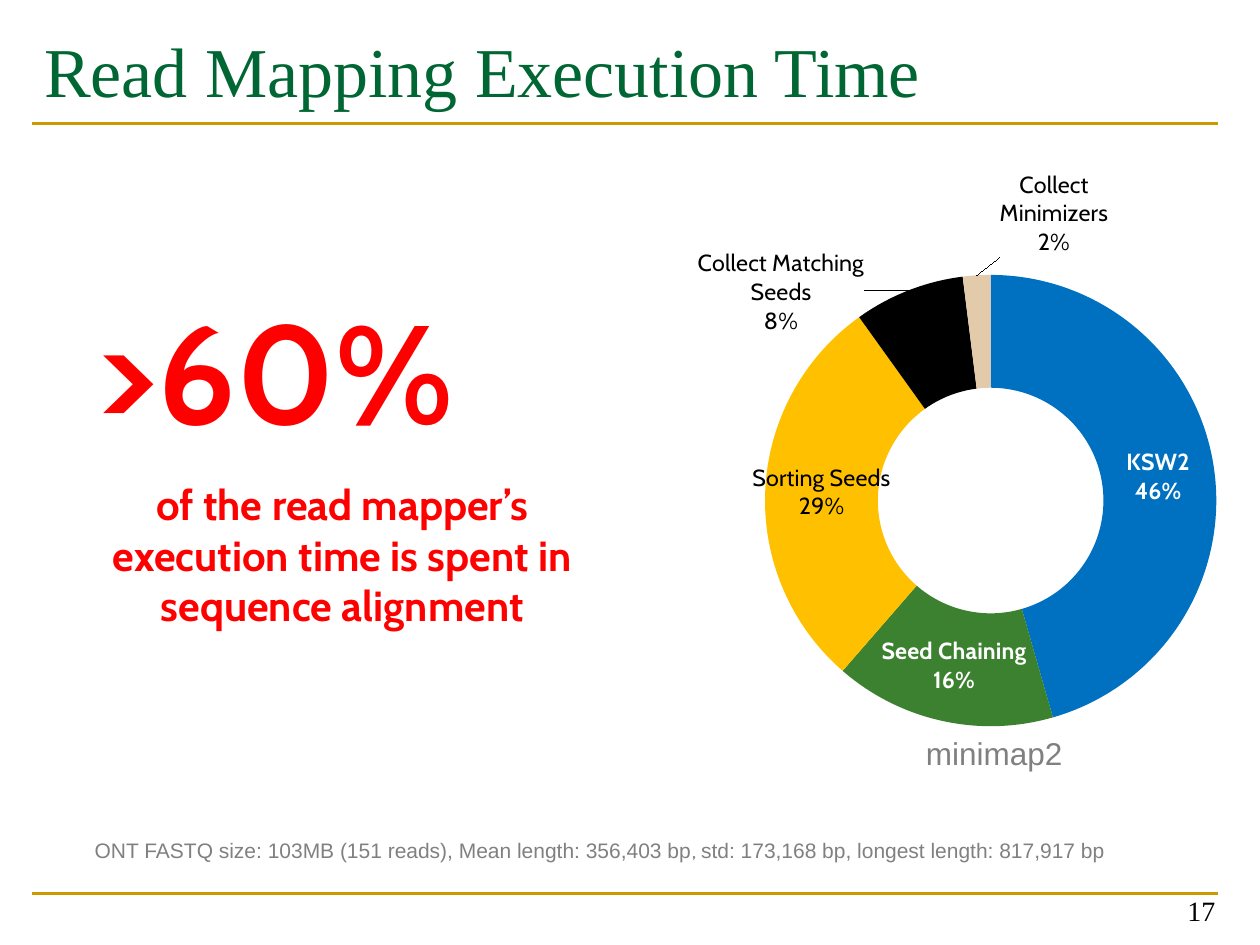
from lxml.etree import SubElement
from pptx import Presentation
from pptx.chart.data import CategoryChartData
from pptx.dml.color import RGBColor
from pptx.enum.chart import XL_CHART_TYPE
from pptx.enum.text import MSO_ANCHOR, PP_ALIGN
from pptx.oxml import parse_xml
from pptx.oxml.ns import nsdecls, qn
from pptx.util import Pt

HEX = {"gold": "CC9900", "green": "006633", "gray": "808080", "red": "FF0000",
       "black": "000000", "white": "FFFFFF", "blue": "0070C0",
       "leaf": "3B812F", "amber": "FFC000", "sand": "E2CAAA"}
SERIF, SANS, CABIN = "Times New Roman", "Arial", "Cabin"

# Content
TITLE = "Read Mapping Execution Time"
# name, share, fill, label colour, label shift as part of the chart
STEPS = [
    ("KSW2", 46, "blue", "white", None),
    ("Seed Chaining", 16, "leaf", "white", None),
    ("Sorting Seeds", 29, "amber", "black", None),
    ("Collect Matching Seeds", 8, "black", "black", (-0.22, -0.09)),
    ("Collect Minimizers", 2, "sand", "black", (0.11, -0.21)),
]
# box, size, colour, bold, align, anchor, wrap, runs
LEFT, MID, RIGHT = PP_ALIGN.LEFT, PP_ALIGN.CENTER, PP_ALIGN.RIGHT
TOP, BASE = MSO_ANCHOR.TOP, MSO_ANCHOR.BOTTOM
NOTES = [
    ((47.5, 159, 330, 126), 80, "red", True, LEFT, TOP, True,
     [(">60%", CABIN)]),
    ((37.5, 270, 316, 94), 24, "red", True, MID, TOP, True,
     [("of the read mapper’s execution time is spent in sequence alignment",
       CABIN)]),
    ((522, 416, 94, 29), 18, "gray", False, LEFT, TOP, False,
     [("minimap2", SANS)]),
    ((47, 475, 621, 22), 12, "gray", False, LEFT, TOP, True,
     [("ONT FASTQ size: 103MB (151 reads), Mean length: 356,403 bp", SANS),
      (", ", CABIN),
      ("std: 173,168 bp, longest length: 817,917 bp", SANS)]),
    ((533.5, 497.5, 168, 36), 16, "black", False, RIGHT, BASE, True,
     [("17", SERIF)]),
]
RULES = (70.5, 510.5)
CHART = (377, 96, 384, 320)
PLOT = {"x": 0.156, "y": 0.191, "w": 0.673, "h": 0.806}


def rgb(name):
    return RGBColor.from_string(HEX[name])


def style(font, face, size, color, bold=False):
    font.name, font.size, font.bold = face, Pt(size), bold
    font.color.rgb = rgb(color)


def place(shape, box):
    shape.left, shape.top, shape.width, shape.height = map(Pt, box)


def write(shape, size, color, bold, align, anchor, wrap, runs):
    frame = shape.text_frame
    frame.word_wrap, frame.vertical_anchor = wrap, anchor
    para = frame.paragraphs[0]
    para.alignment = align
    for text, face in runs:
        run = para.add_run()
        run.text = text
        style(run.font, face, size, color, bold)


def layout(items, inner=False):
    """Make a manual layout for the plot or for a label."""
    if inner:
        items = {"layoutTarget": "inner", "xMode": "edge", "yMode": "edge",
                 **items}
    body = "".join(f'<c:{key} val="{val}"/>' for key, val in items.items())
    return parse_xml(f'<c:layout {nsdecls("c")}><c:manualLayout>{body}'
                     '</c:manualLayout></c:layout>')


def show(node):
    """Show category and percent on two lines."""
    for key, val in (("showVal", 0), ("showCatName", 1), ("showPercent", 1)):
        node.find(qn(f"c:{key}")).set("val", str(val))
    mark = parse_xml(f'<c:separator {nsdecls("c")}>\n</c:separator>')
    node.find(qn("c:showBubbleSize")).addnext(mark)


def draw_chart(slide):
    data = CategoryChartData()
    data.categories = [step[0] for step in STEPS]
    data.add_series("Series 1", [step[1] for step in STEPS])
    chart = slide.shapes.add_chart(
        XL_CHART_TYPE.DOUGHNUT, *map(Pt, CHART), data).chart
    chart.has_legend = chart.has_title = False
    style(chart.font, CABIN, 10, "black")
    plot = chart.plots[0]
    plot.vary_by_categories = True
    area = chart.element.find(".//" + qn("c:plotArea"))
    old = area.find(qn("c:layout"))
    if old is not None:
        area.remove(old)
    area.insert(0, layout(PLOT, inner=True))

    series = plot.series[0]
    labels = series.data_labels
    style(labels.font, CABIN, 13.3, "black")
    labels.number_format, labels.number_format_is_linked = "0%", False
    group = area.find(".//" + qn("c:ser")).find(qn("c:dLbls"))
    show(group)
    for i, (_, _, fill, ink, shift) in enumerate(STEPS):
        point = series.points[i]
        point.format.fill.solid()
        point.format.fill.fore_color.rgb = rgb(fill)
        point.format.line.fill.background()
        style(point.data_label.font, CABIN, 13.3, ink, ink == "white")
        node = group.findall(qn("c:dLbl"))[-1]
        show(node)
        if shift:
            node.find(qn("c:idx")).addnext(layout(dict(zip("xy", shift))))


def main():
    deck = Presentation()
    deck.slide_width, deck.slide_height = Pt(720), Pt(540)
    slide = deck.slides.add_slide(deck.slide_layouts[5])

    # Gold rules
    for y in RULES:
        rule = slide.shapes.add_connector(1, Pt(18), Pt(y), Pt(696), Pt(y))
        rule.line.color.rgb, rule.line.width = rgb("gold"), Pt(1.5)
        SubElement(rule.element.spPr, qn("a:effectLst"))

    # Title
    place(slide.shapes.title, (18, 12, 678, 84))
    write(slide.shapes.title, 40, "green", False, LEFT, TOP, True,
          [(TITLE, SERIF)])

    # Chart, then text
    draw_chart(slide)
    for box, *rest in NOTES:
        write(slide.shapes.add_textbox(*map(Pt, box)), *rest)

    deck.save("out.pptx")


if __name__ == "__main__":
    main()
